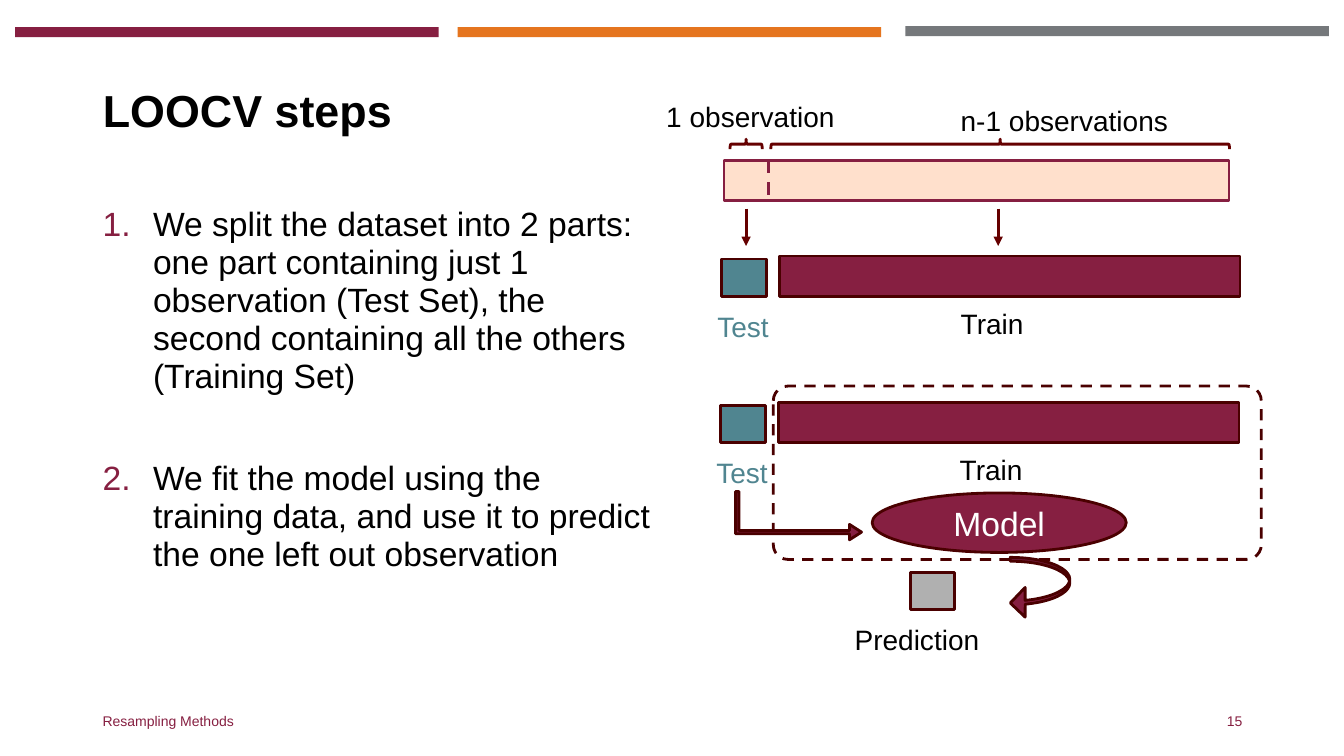
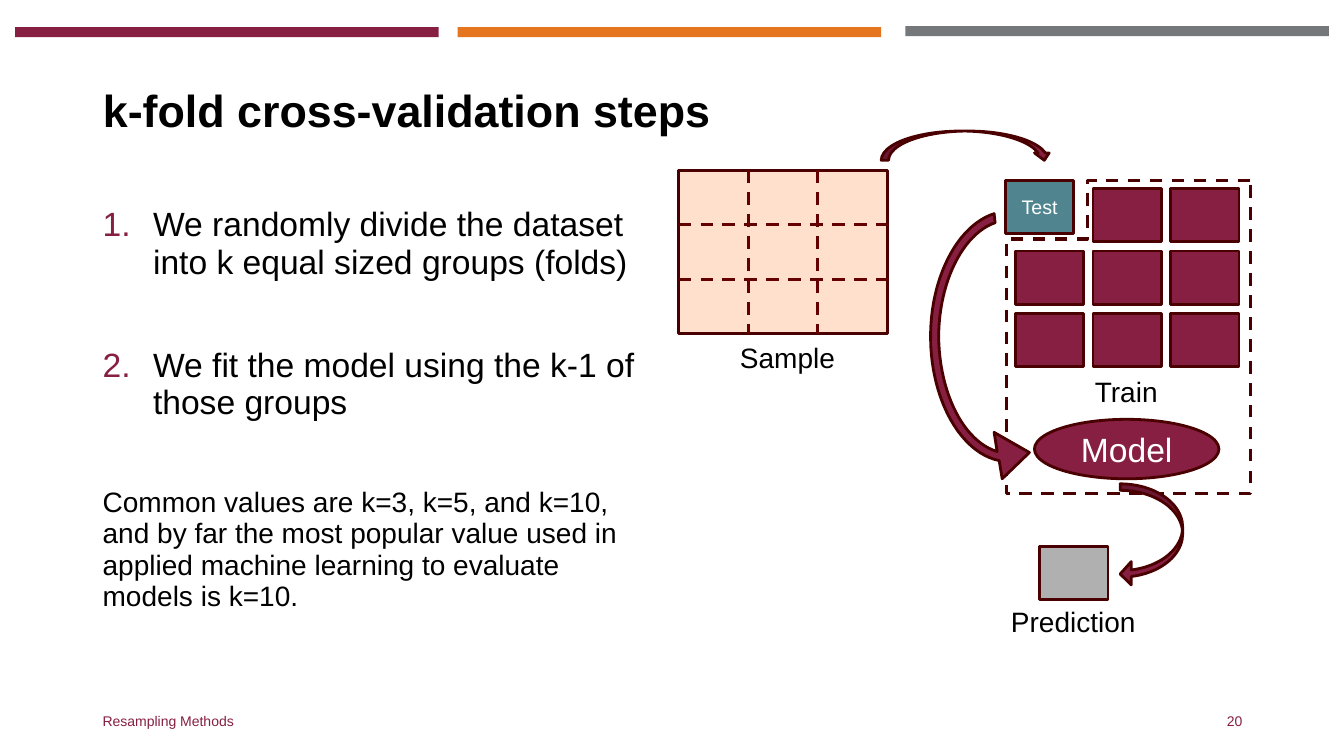
from lxml.etree import SubElement
from pptx import Presentation
from pptx.dml.color import RGBColor
from pptx.enum.dml import MSO_LINE
from pptx.enum.shapes import MSO_CONNECTOR, MSO_SHAPE
from pptx.enum.text import MSO_ANCHOR, PP_ALIGN
from pptx.oxml.ns import qn
from pptx.util import Inches, Pt

MAROON = RGBColor(0x86, 0x1F, 0x41)
ORANGE = RGBColor(0xE5, 0x75, 0x1F)
GRAY = RGBColor(0x75, 0x78, 0x7B)
PEACH = RGBColor(0xFF, 0xE0, 0xCC)
TEAL = RGBColor(0x50, 0x85, 0x90)
SILVER = RGBColor(0xB0, 0xB0, 0xB0)
DARK = RGBColor(0x4A, 0x00, 0x00)
WINE = RGBColor(0x65, 0x00, 0x00)
BLACK = RGBColor(0, 0, 0)
WHITE = RGBColor(0xFF, 0xFF, 0xFF)
FONT = "Arial"
LEFT, WIDTH = 0.92, 11.5


# Shared helpers
def style(para, size, color, align=PP_ALIGN.LEFT, bold=False):
    para.alignment = align
    font = para.font
    font.name, font.size, font.bold = FONT, Pt(size), bold
    font.color.rgb = color


def shape(slide, kind, x, y, w, h, fill=None, line=DARK, adj=(), turn=0):
    item = slide.shapes.add_shape(kind, *map(Inches, (x, y, w, h)))
    for i, value in enumerate(adj):
        item.adjustments[i] = value
    item.rotation = turn
    paint(item, fill, line)
    return item


def paint(item, fill, line):
    item.shadow.inherit = False
    if fill is None:
        item.fill.background()
    else:
        item.fill.solid()
        item.fill.fore_color.rgb = fill
    if line is None:
        item.line.fill.background()
    else:
        item.line.color.rgb = line
        item.line.width = Pt(2)


def block(slide, x, y, w, h, fill, line=DARK):
    return shape(slide, MSO_SHAPE.RECTANGLE, x, y, w, h, fill, line)


def write(item, text, size):
    frame = item.text_frame
    frame.vertical_anchor = MSO_ANCHOR.MIDDLE
    frame.text = text
    style(frame.paragraphs[0], size, WHITE, PP_ALIGN.CENTER)


def model(slide, x, y, w):
    write(shape(slide, MSO_SHAPE.OVAL, x, y, w, 0.59, MAROON), "Model", 24)


def label(slide, text, x, y, w, h=0.44, size=20, color=BLACK,
          align=PP_ALIGN.LEFT, anchor=MSO_ANCHOR.TOP):
    frame = slide.shapes.add_textbox(*map(Inches, (x, y, w, h))).text_frame
    frame.word_wrap = True
    frame.vertical_anchor = anchor
    frame.text = text
    style(frame.paragraphs[0], size, color, align)


def line(slide, x1, y1, x2, y2, color=WINE, dash=False, arrow=False):
    item = slide.shapes.add_connector(
        MSO_CONNECTOR.STRAIGHT, *map(Inches, (x1, y1, x2, y2)))
    item.line.color.rgb = color
    item.line.width = Pt(2.25)
    if dash:
        item.line.dash_style = MSO_LINE.DASH
    props = item._element.spPr
    if arrow:
        SubElement(props.find(qn("a:ln")), qn("a:tailEnd"), type="triangle")
    SubElement(props, qn("a:effectLst"))


# Bands, title and footer
def start(deck, title, number):
    slide = deck.slides.add_slide(deck.slide_layouts[5])
    for x, y, color in ((0.15, 0.27, MAROON), (8.98, 0.26, GRAY),
                        (4.54, 0.27, ORANGE)):
        block(slide, x, y, 4.2, 0.1, color, None)
    head = slide.shapes.title
    head.left, head.top = Inches(LEFT), Inches(0.4)
    head.width, head.height = Inches(WIDTH), Inches(1.45)
    frame = head.text_frame
    frame.vertical_anchor = MSO_ANCHOR.MIDDLE
    frame.text = title
    frame.paragraphs[0].line_spacing = 0.9
    style(frame.paragraphs[0], 32, BLACK, bold=True)
    label(slide, "Resampling Methods", LEFT, 6.95, 4.5, 0.4, 10, MAROON,
          anchor=MSO_ANCHOR.MIDDLE)
    label(slide, str(number), LEFT + WIDTH - 3, 6.95, 3, 0.4, 10, MAROON,
          PP_ALIGN.RIGHT, MSO_ANCHOR.MIDDLE)
    return slide


# Numbered steps, with an optional closing remark
def steps(slide, items, remark=None):
    box = slide.shapes.add_textbox(*map(Inches, (LEFT, 2, 5.67, 4.76)))
    frame = box.text_frame
    frame.word_wrap = True
    texts = items + ([remark] if remark else [])
    for i, text in enumerate(texts):
        para = frame.paragraphs[0] if i == 0 else frame.add_paragraph()
        para.text = text
        para.line_spacing = 0.94
        para.space_before = Pt(46 if i else 0)
        listed = i < len(items)
        if listed:
            props = para._p.get_or_add_pPr()
            props.set("marL", str(Inches(0.5)))
            props.set("indent", str(Inches(-0.5)))
            tint = SubElement(props, qn("a:buClr"))
            SubElement(tint, qn("a:srgbClr"), val=str(MAROON))
            SubElement(props, qn("a:buAutoNum"), type="arabicPeriod")
        style(para, 24 if listed else 20, BLACK)


# Test square beside a train bar
def parts(slide, x, y):
    block(slide, x, y + 0.03, 0.44, 0.37, TEAL)
    block(slide, x + 0.57, y, 4.57, 0.4, MAROON)
    label(slide, "Test", x - 0.2, y + 0.48, 0.82, color=TEAL,
          align=PP_ALIGN.CENTER)
    label(slide, "Train", x + 2.27, y + 0.45, 0.95)


# Whole data set, split in two
def split(slide, x, y):
    block(slide, x, y + 0.65, 5.01, 0.4, PEACH, MAROON)
    line(slide, x + 0.44, y + 0.65, x + 0.44, y + 1.05, MAROON, dash=True)
    label(slide, "1 observation", x - 0.67, y, 2.03)
    label(slide, "n-1 observations", x + 2.25, y + 0.04, 2.54)
    for mid, span in ((0.22, 0.32), (2.74, 4.55)):
        shape(slide, MSO_SHAPE.RIGHT_BRACE, x + mid - 0.05,
              y + 0.49 - span / 2, 0.1, span, line=WINE,
              adj=(0.083, 0.5), turn=270)
    for mid in (0.22, 2.72):
        line(slide, x + mid, y + 1.13, x + mid, y + 1.5, arrow=True)
    parts(slide, x - 0.02, y + 1.6)


# Model fitted on the train bar, then used on the test square
def fit(slide, x, y):
    model(slide, x + 1.5, y + 1.06, 2.52)
    parts(slide, x, y + 0.16)
    area = shape(slide, MSO_SHAPE.ROUNDED_RECTANGLE, x + 0.52, y, 4.84, 1.72,
                 adj=(0.085,))
    area.line.dash_style = MSO_LINE.DASH
    shape(slide, MSO_SHAPE.BENT_UP_ARROW, x + 0.53, y + 0.66, 0.48, 1.25,
          MAROON, adj=(0.069, 0.159, 0.25), turn=90)
    block(slide, x + 1.88, y + 1.85, 0.44, 0.37, SILVER)
    label(slide, "Prediction", x + 0.96, y + 2.3, 1.97,
          align=PP_ALIGN.CENTER)
    shape(slide, MSO_SHAPE.CURVED_LEFT_ARROW, x + 2.87, y + 1.7, 0.59, 0.6,
          MAROON, adj=(0.065, 0.5, 0.25))


# Sample cut into three by three folds
def sample(slide, x, y, w, h):
    block(slide, x, y, w, h, PEACH)
    for i in (1, 2):
        row, col = y + h * i / 3, x + w * i / 3
        line(slide, x, row, x + w, row, dash=True)
        line(slide, col, y, col, y + h, dash=True)
    label(slide, "Sample", x + 0.51, y + h + 0.02, 1.28)


def curve(a, b, c, d, count=24):
    for i in range(1, count + 1):
        t = i / count
        u = 1 - t
        yield tuple(u**3 * p + 3 * u * u * t * q + 3 * u * t * t * r + t**3 * s
                    for p, q, r, s in zip(a, b, c, d))


# Bent arrow from the test fold to the model
def sweep(slide, x, y):
    outer = [*curve((0.63, 0), (0.26, 0.12), (-0.01, 0.65), (0, 1.25)),
             *curve((0, 1.25), (0.01, 1.86), (0.3, 2.37), (0.68, 2.45))]
    tip = [(0.71, 2.63), (0.98, 2.37), (0.63, 2.17), (0.66, 2.36)]
    inner = [*curve((0.66, 2.36), (0.33, 2.26), (0.09, 1.79), (0.08, 1.23)),
             *curve((0.08, 1.23), (0.08, 0.68), (0.32, 0.2), (0.64, 0.09))]
    pen = slide.shapes.build_freeform(
        Inches(x + 0.63), Inches(y), scale=1.0)
    pen.add_line_segments([(Inches(x + p), Inches(y + q))
                           for p, q in outer + tip + inner], close=True)
    paint(pen.convert_to_shape(), MAROON, DARK)


# One fold for testing, eight for training
def folds(slide, x, y):
    w, h = 0.68, 0.53
    shape(slide, MSO_SHAPE.CURVED_DOWN_ARROW, x - 1.23, y - 0.49, 1.69, 0.29,
          MAROON, adj=(0.25, 0.5, 0.25))
    write(block(slide, x, y, w, h, TEAL), "Test", 14)
    for i in range(1, 9):
        row, col = divmod(i, 3)
        block(slide, x + 0.1 + col * 0.77, y + 0.08 + row * 0.62, w, h, MAROON)
    area = shape(slide, MSO_SHAPE.CORNER, x + 0.01, y, 2.42, 3.11,
                 adj=(1.045, 0.668))
    area._element.spPr.xfrm.set("flipH", "1")
    area.line.width = Pt(2.25)
    area.line.dash_style = MSO_LINE.DASH
    model(slide, x + 0.29, y + 2.37, 1.83)
    label(slide, "Train", x + 0.56, y + 1.88, 1.28, align=PP_ALIGN.CENTER)
    sweep(slide, x - 0.74, y + 0.33)
    block(slide, x + 0.34, y + 3.63, w, h, SILVER)
    shape(slide, MSO_SHAPE.CURVED_LEFT_ARROW, x + 1.14, y + 3.01, 0.62, 1.01,
          MAROON, adj=(0.104, 0.373, 0.178))
    label(slide, "Prediction", x - 0.25, y + 4.16, 1.85,
          align=PP_ALIGN.CENTER)


def main():
    deck = Presentation()
    deck.slide_width, deck.slide_height = Inches(13.33), Inches(7.5)

    slide = start(deck, "LOOCV steps", 15)
    steps(slide, [
        "We split the dataset into 2 parts: one part containing just 1 "
        "observation (Test Set), the second containing all the others "
        "(Training Set)",
        "We fit the model using the training data, and use it to predict "
        "the one left out observation"])
    split(slide, 7.18, 0.94)
    fit(slide, 7.15, 3.83)

    slide = start(deck, "k-fold cross-validation steps", 20)
    steps(slide, [
        "We randomly divide the dataset into k equal sized groups (folds)",
        "We fit the model using the k-1 of those groups"],
        "Common values are k=3, k=5, and k=10, and by far the most popular "
        "value used in applied machine learning to evaluate models is k=10.")
    sample(slide, 6.73, 1.69, 2.07, 1.62)
    folds(slide, 9.97, 1.79)

    deck.save("out.pptx")


if __name__ == "__main__":
    main()
